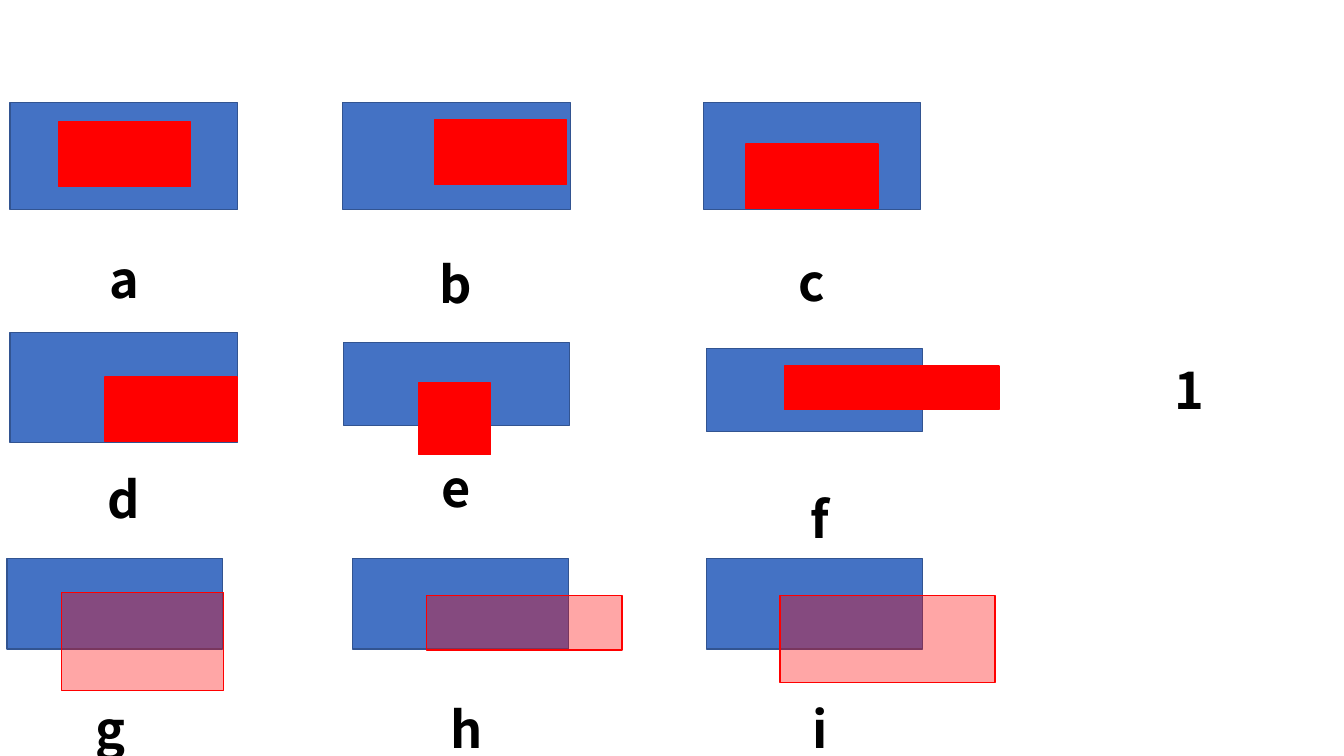
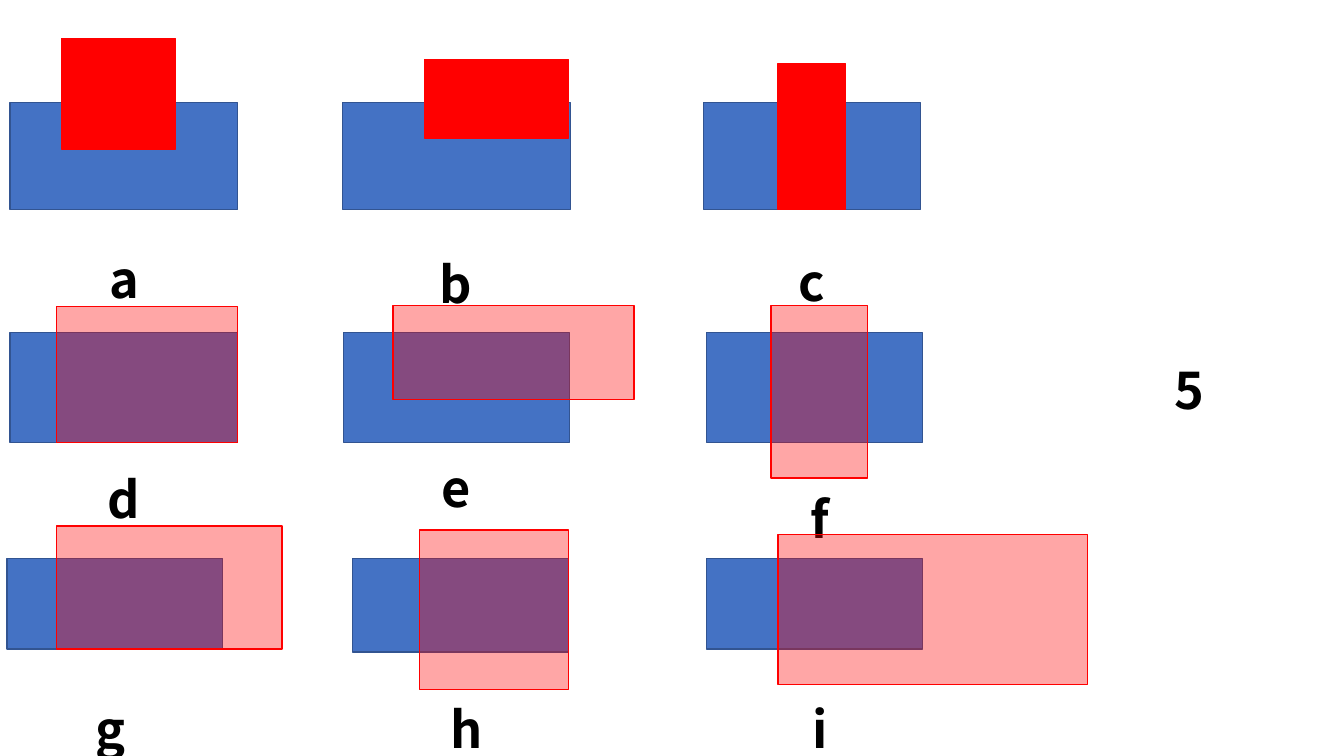
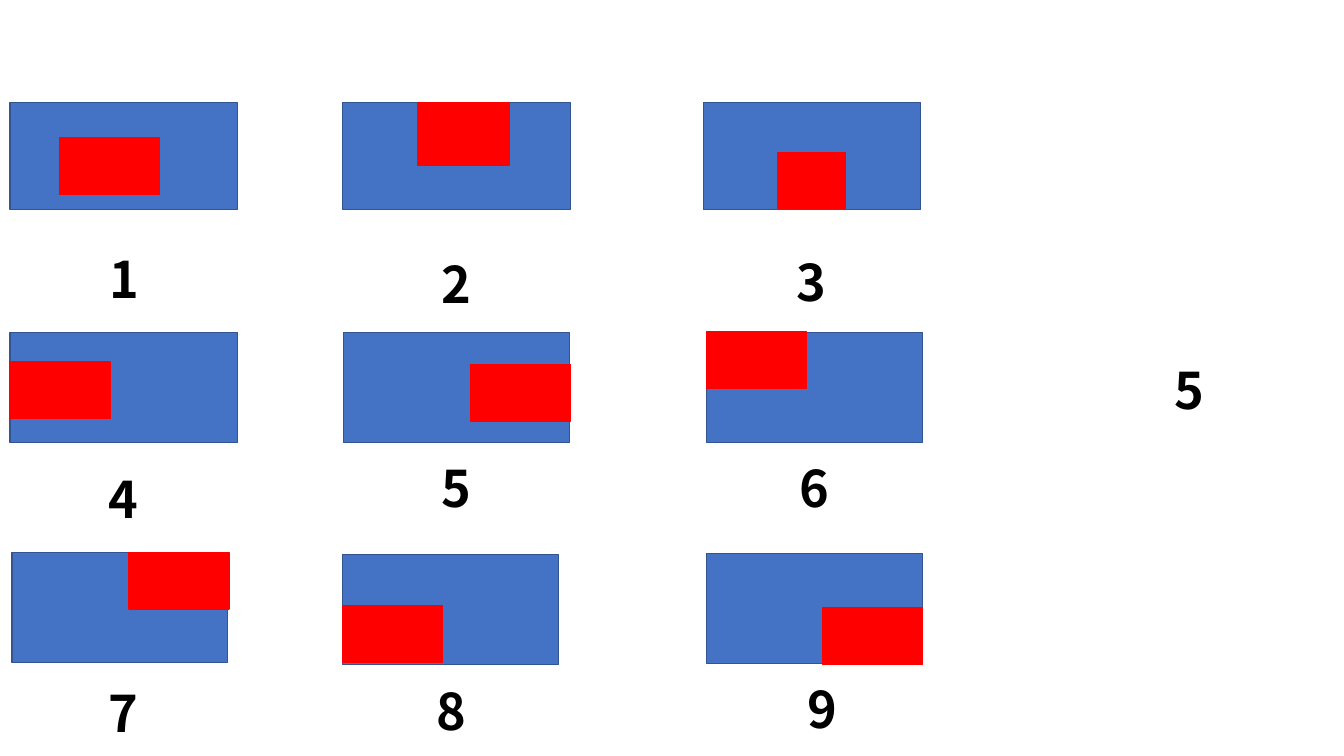
import dataclasses

import lxml.etree
import pptx
import pptx.dml.color
import pptx.enum.shapes
import pptx.enum.text
import pptx.oxml.ns
import pptx.util

Pt = pptx.util.Pt
qn = pptx.oxml.ns.qn


@dataclasses.dataclass(frozen=True)
class Theme:
    """Colours, type and sizes that all slides share."""
    blue: str = "4472C4"
    navy: str = "325491"
    red: str = "FF0000"
    ink: str = "000000"
    face: str = "Noto Sans CJK SC"
    size: float = 36
    edge: float = 1
    alpha: int = 35000
    label: tuple = (69.8, 51.1)


THEME = Theme()
FONT = {"name": THEME.face, "size": Pt(THEME.size), "bold": True}
FRAME = {"word_wrap": True,
         "auto_size": pptx.enum.text.MSO_AUTO_SIZE.SHAPE_TO_FIT_TEXT}

# Boxes are (left, top, width, height) and spots are (left, top), in points.
TOP = [(7.2, 73.4, 162.7, 76.3), (244.8, 73.4, 162.7, 76.3),
       (502.6, 73.4, 154.8, 76.3)]
MID = [(7.2, 237.6, 162.7, 78.5), (245.5, 237.6, 161.3, 78.5),
       (504.7, 237.6, 154.1, 78.5)]
LOW = [(x, 398.9, 154.1, 64.8) for x in (5, 252, 504.7)]

SPOTS = [(54, 173.5), (290.9, 177.1), (545, 175.7),
         (53.3, 330.5), (290.9, 322.6), (550.8, 344.9),
         (43.9, 495.4), (298.1, 495.4), (550.8, 495.4)]
MARK = (815, 252.7)

WIDE = (94.3, 46.1)
SMALL = (71.3, 40.3)

PAGES = [
    {"mark": "1", "names": "abcdefghi", "spots": SPOTS, "clear": "ghi",
     "bases": TOP + [MID[0], (245.5, 244.8, 161.3, 59),
                     (504.7, 249.1, 154.1, 59)] + LOW,
     "tops": [(41.8, 87.1, *WIDE), (310.3, 85.7, *WIDE),
              (532.8, 103, *WIDE), (74.9, 269.3, *WIDE),
              (298.8, 273.6, 51.8, 51.1), (560.2, 261.4, 153.4, 31),
              (43.9, 423.4, 115.9, 69.8), (304.6, 425.5, 139.7, 38.9),
              (557.3, 425.5, 153.4, 61.9)]},
    {"mark": "5", "names": "abcdefghi", "spots": SPOTS, "clear": "defghi",
     "bases": TOP + MID + [LOW[0], (252, 398.9, 154.1, 67), LOW[2]],
     "tops": [(43.9, 27.4, 81.4, 79.2), (303.1, 42.5, 103, 56.2),
              (555.8, 45.4, 48.2, 104.4), (40.3, 218.9, 129.6, 97.2),
              (280.8, 218.2, 172.1, 67), (550.8, 218.2, 69.1, 123.1),
              (40.3, 375.8, 161.3, 87.8), (299.5, 378.7, 106.6, 113.8),
              (555.8, 381.6, 221, 107.3)]},
    {"mark": "5", "names": "123456789", "clear": "",
     "spots": SPOTS[:5] + [(546.5, 323.3), (53.3, 483.8),
                           (287.3, 482.4), (552.2, 481)],
     "bases": TOP + MID + [(8.6, 394.6, 154.1, 78.5),
                           (244.8, 396, 154.1, 78.5),
                           (504.7, 395.3, 154.1, 78.5)],
     "tops": [(42.5, 98.6, *SMALL), (298.1, 73.4, 65.5, 44.6),
              (555.8, 109.4, 48.2, 39.6), (7.2, 258.5, *SMALL),
              (336.2, 260.6, *SMALL), (504.7, 236.9, *SMALL),
              (92.2, 394.6, *SMALL), (244.8, 432.7, *SMALL),
              (587.5, 434.2, *SMALL)]},
]


def tint(code):
    """Turn a hex code into a colour."""
    return pptx.dml.color.RGBColor.from_string(code)


def style(item, values):
    """Set each named value on the item."""
    for name, value in values.items():
        setattr(item, name, value)


def block(slide, box, fill, line, clear=False):
    """Draw a filled rectangle, see-through if clear."""
    kind = pptx.enum.shapes.MSO_SHAPE.RECTANGLE
    shape = slide.shapes.add_shape(kind, *map(Pt, box))
    shape.shadow.inherit = False
    shape.fill.solid()
    shape.fill.fore_color.rgb = tint(fill)
    shape.line.color.rgb = tint(line)
    shape.line.width = Pt(THEME.edge)
    if clear:
        paint = shape.element.spPr.find(qn("a:solidFill"))[0]
        lxml.etree.SubElement(paint, qn("a:alpha"), val=str(THEME.alpha))


def label(slide, spot, text):
    """Write a bold centred label."""
    box = slide.shapes.add_textbox(*map(Pt, spot + THEME.label))
    style(box.text_frame, FRAME)
    para = box.text_frame.paragraphs[0]
    para.alignment = pptx.enum.text.PP_ALIGN.CENTER
    run = para.add_run()
    run.text = text
    style(run.font, FONT)
    run.font.color.rgb = tint(THEME.ink)


def build(slide, page):
    """Draw the nine cases of one page, with red on top."""
    for box in page["bases"]:
        block(slide, box, THEME.blue, THEME.navy)
    label(slide, MARK, page["mark"])
    for spot, name in zip(page["spots"], page["names"]):
        label(slide, spot, name)
    for box, name in zip(page["tops"], page["names"]):
        block(slide, box, THEME.red, THEME.red, name in page["clear"])


def main():
    """Build and save the slides."""
    deck = pptx.Presentation()
    style(deck, {"slide_width": Pt(960), "slide_height": Pt(540)})
    for page in PAGES:
        build(deck.slides.add_slide(deck.slide_layouts[6]), page)
    deck.save("out.pptx")


main()
